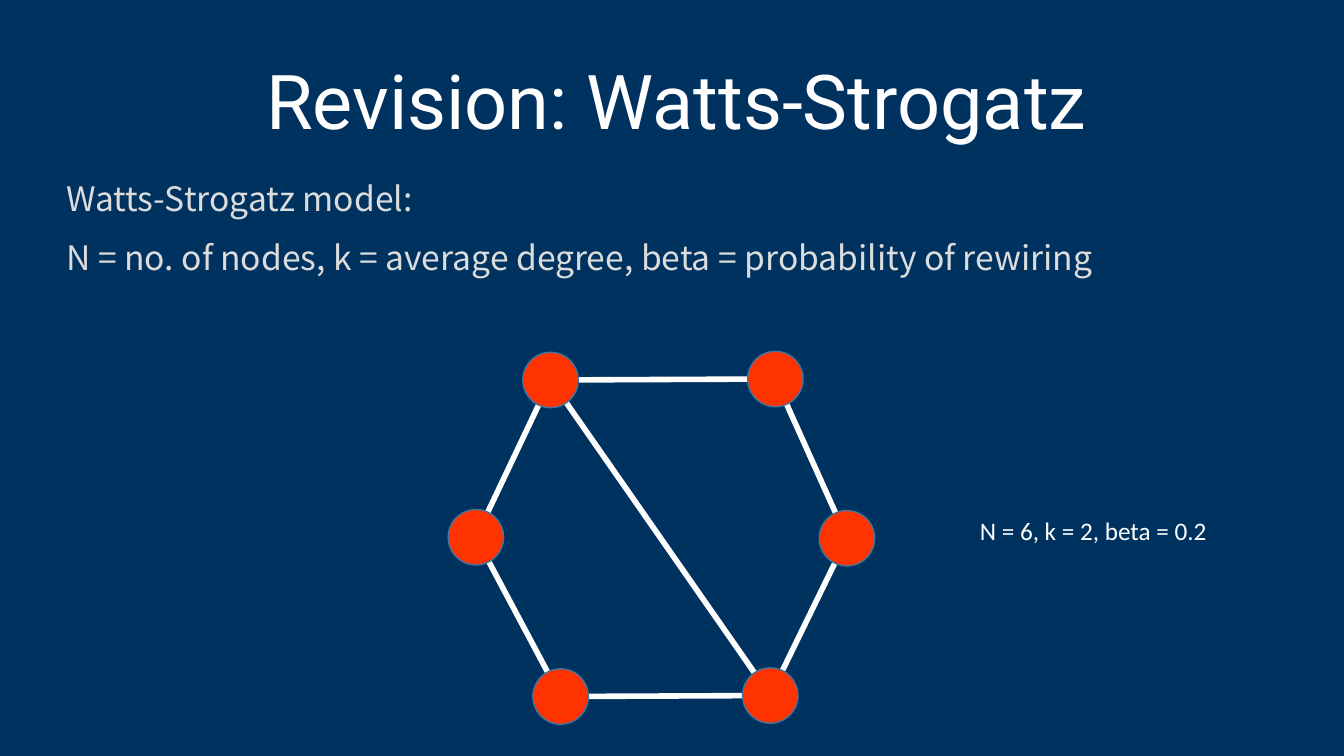
from pptx import Presentation
from pptx.dml.color import RGBColor
from pptx.enum.shapes import MSO_CONNECTOR, MSO_SHAPE
from pptx.enum.text import MSO_ANCHOR, PP_ALIGN
from pptx.util import Inches, Pt
from lxml import etree

WIDTH, HEIGHT = 13.33, 7.5
MARGIN = 0.56
NODE_SIZE = 0.55
BACKGROUND, WHITE, GREY = "003260", "FFFFFF", "DCDCDC"
NODE_FILL, NODE_LINE = "FF3300", "43739E"

TITLE = ["Revision: Watts-Strogatz"]
MODEL = [
    "Watts-Strogatz model:",
    "N = no. of nodes, k = average degree, beta = probability of rewiring",
]
PARAMETERS = ["N = 6, k = 2, beta = 0.2"]

# Node centres in inches
NODES = {
    "right": (8.4, 5.34),
    "bottom right": (7.64, 6.9),
    "bottom left": (5.56, 6.91),
    "left": (4.72, 5.33),
    "top right": (7.69, 3.76),
    "top left": (5.46, 3.77),
}
EDGES = [
    ("top left", "bottom right"),
    ("bottom right", "right"),
    ("top left", "top right"),
    ("left", "bottom left"),
    ("left", "top left"),
    ("bottom left", "bottom right"),
    ("top right", "right"),
]


def colour(hex_code):
    """Turn a hex string into a colour."""
    return RGBColor.from_string(hex_code)


def add_text(slide, box, lines, font, size, hex_code, align=PP_ALIGN.LEFT,
             anchor=MSO_ANCHOR.TOP, spacing=1.0, after=0):
    """Add a text box with one paragraph per line."""
    frame = slide.shapes.add_textbox(*map(Inches, box)).text_frame
    frame.word_wrap = True
    frame.vertical_anchor = anchor
    for i, line in enumerate(lines):
        paragraph = frame.paragraphs[0] if i == 0 else frame.add_paragraph()
        paragraph.alignment = align
        paragraph.line_spacing = spacing
        paragraph.space_after = Pt(after)
        run = paragraph.add_run()
        run.text = line
        run.font.name, run.font.size = font, Pt(size)
        run.font.color.rgb = colour(hex_code)


def add_edge(slide, start, end):
    """Draw a line between the centres of two nodes."""
    ends = map(Inches, NODES[start] + NODES[end])
    edge = slide.shapes.add_connector(MSO_CONNECTOR.STRAIGHT, *ends)
    edge.line.color.rgb = colour(WHITE)
    edge.line.width = Pt(4)
    properties = edge.element.spPr
    namespace = properties.nsmap["a"]
    etree.SubElement(properties, f"{{{namespace}}}effectLst")


def add_node(slide, x, y):
    """Draw a node as a circle centred on x, y."""
    corner = (x - NODE_SIZE / 2, y - NODE_SIZE / 2)
    box = map(Inches, corner + (NODE_SIZE, NODE_SIZE))
    node = slide.shapes.add_shape(MSO_SHAPE.OVAL, *box)
    node.shadow.inherit = False
    node.fill.solid()
    node.fill.fore_color.rgb = colour(NODE_FILL)
    node.line.color.rgb = colour(NODE_LINE)
    node.line.width = Pt(1)


prs = Presentation()
prs.slide_width, prs.slide_height = Inches(WIDTH), Inches(HEIGHT)
slide = prs.slides.add_slide(prs.slide_layouts[6])
slide.background.fill.solid()
slide.background.fill.fore_color.rgb = colour(BACKGROUND)

for start, end in EDGES:
    add_edge(slide, start, end)
text_width = WIDTH - 2 * MARGIN
add_text(slide, (MARGIN, MARGIN, text_width + 0.09, 0.94), TITLE, "Roboto", 54,
         WHITE, PP_ALIGN.CENTER, MSO_ANCHOR.BOTTOM, 0.9)
add_text(slide, (MARGIN, 1.76, text_width + 0.09, 4.92), MODEL,
         "Noto Sans CJK JP", 24, GREY, PP_ALIGN.JUSTIFY, spacing=0.9, after=16)
for x, y in NODES.values():
    add_node(slide, x, y)
add_text(slide, (9.62, 5.06, 2.63, 0.4), PARAMETERS, "Calibri", 18, WHITE)

prs.save("out.pptx")
